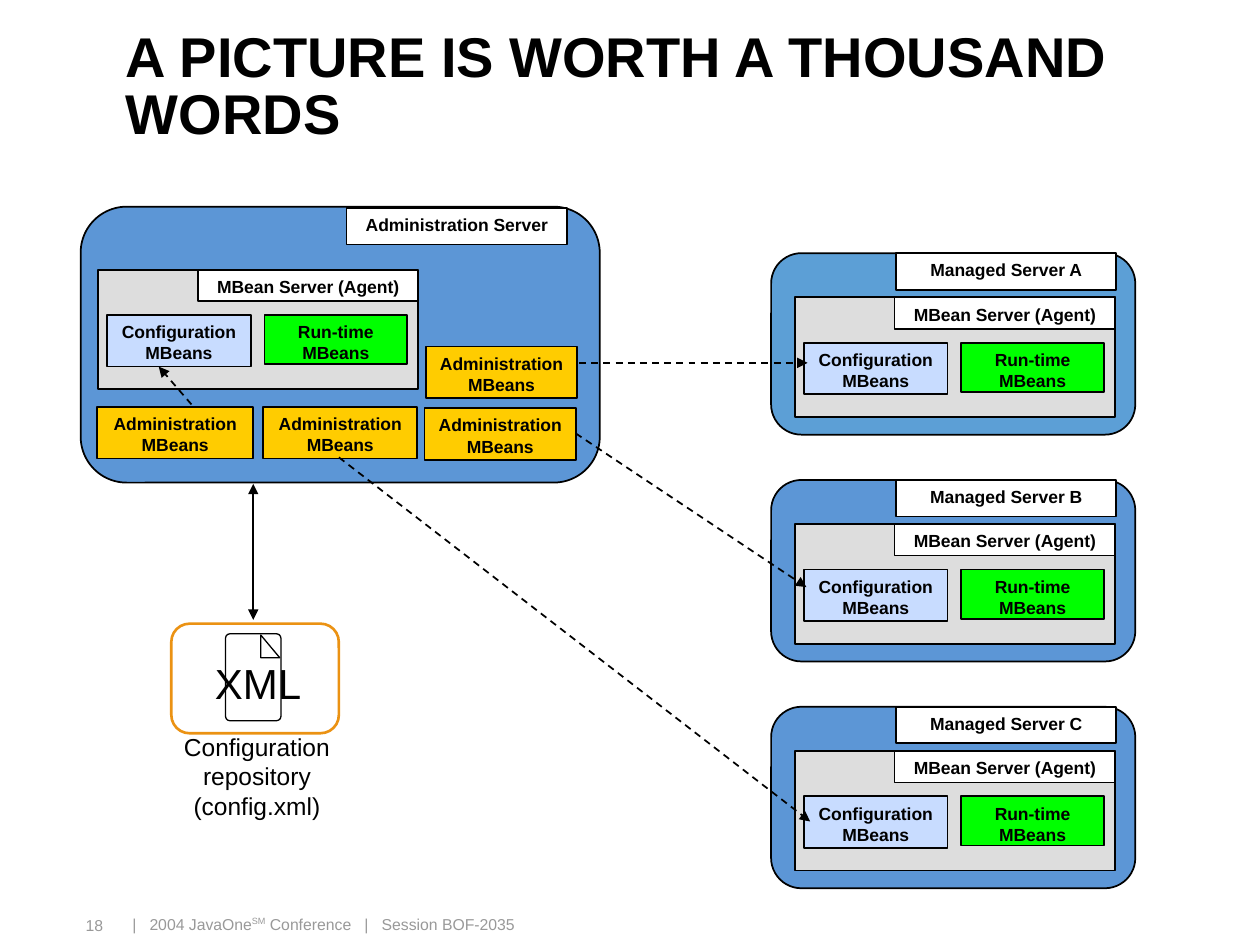
from lxml.etree import SubElement
from pptx import Presentation
from pptx.dml.color import RGBColor
from pptx.enum.dml import MSO_LINE as Dash
from pptx.enum.shapes import MSO_CONNECTOR as Link, MSO_SHAPE as Kind
from pptx.enum.text import MSO_ANCHOR as Anchor, PP_ALIGN as Align
from pptx.oxml.ns import qn
from pptx.util import Inches, Pt

BLACK = RGBColor(0x00, 0x00, 0x00)
WHITE = RGBColor(0xFF, 0xFF, 0xFF)
GREY = RGBColor(0xDD, 0xDD, 0xDD)
MUTED = RGBColor(0x99, 0x99, 0x99)
BLUE = RGBColor(0x5C, 0x96, 0xD6)
TEAL = RGBColor(0x5C, 0x9F, 0xD6)
PALE = RGBColor(0xC8, 0xDC, 0xFF)
GREEN = RGBColor(0x00, 0xFF, 0x00)
GOLD = RGBColor(0xFF, 0xCC, 0x00)
ORANGE = RGBColor(0xEB, 0x92, 0x13)

TITLE = "A PICTURE IS WORTH A THOUSAND WORDS"
FOOTER = [("|   2004 JavaOne", 0), ("SM", 33), (" Conference   |   Session BOF-2035", 0)]
PAGE = "18"
STORE = "Configuration\vrepository\v(config.xml)"
ADMIN = "Administration MBeans"

# name, fill, left and top of server, left and top of agent
MANAGED = [("Managed Server A", TEAL), ("Managed Server B", BLUE),
           ("Managed Server C", BLUE)]
LEFT, TOP, PITCH = 6.12, 2.01, 1.8

# Parts of an agent: text, fill, offset x, offset y, width, height
AGENT = [
    ("Configuration MBeans", PALE, 0.07, 0.36, 1.14, 0.41),
    ("Run-time MBeans", GREEN, 1.32, 0.36, 1.13, 0.39),
    ("MBean Server (Agent)", WHITE, 0.79, 0, 1.75, 0.25),
]
LOWER = [(0.77, 3.23, 1.24), (2.09, 3.23, 1.22), (3.37, 3.24, 1.2)]
UPPER = (3.38, 2.75, 1.2)

# start, end of the dashed arrows
CALLS = [
    ((1.52, 3.21), (1.26, 2.91)),
    ((4.5, 2.88), (6.41, 2.88)),
    ((4.57, 3.44), (6.4, 4.66)),
    ((2.69, 3.63), (6.43, 6.52)),
]

prs = Presentation()
prs.slide_width, prs.slide_height = Inches(10), Inches(7.5)
slide = prs.slides.add_slide(prs.slide_layouts[6])
shapes = slide.shapes


def write(shape, text, size=10, bold=False, color=BLACK, align=Align.CENTER,
          anchor=Anchor.TOP, pad=(0.1, 0.05), space=None, wrap=True):
    """Fill a shape with one paragraph; text is a string or (text, raise) runs."""
    frame = shape.text_frame
    frame.word_wrap, frame.vertical_anchor = wrap, anchor
    frame.margin_left = frame.margin_right = Inches(pad[0])
    frame.margin_top = frame.margin_bottom = Inches(pad[1])
    para = frame.paragraphs[0]
    para.alignment = align
    if space:
        para.line_spacing = space
    if isinstance(text, str):
        para.text = text
    else:
        for part, rise in text:
            run = para.add_run()
            run.text = part
            if rise:
                run.font._element.set("baseline", str(rise * 1000))
    for run in para.runs:
        font = run.font
        font.name, font.size, font.bold = "Arial", Pt(size), bold
        font.color.rgb = color


def label(x, y, w, h, text, **style):
    box = shapes.add_textbox(Inches(x), Inches(y), Inches(w), Inches(h))
    write(box, text, **style)


def block(x, y, w, h, fill=None, text=None, kind=Kind.RECTANGLE,
          line=BLACK, width=1, round=None):
    box = shapes.add_shape(kind, Inches(x), Inches(y), Inches(w), Inches(h))
    box.shadow.inherit = False
    if fill is None:
        box.fill.background()
    else:
        box.fill.solid()
        box.fill.fore_color.rgb = fill
    box.line.color.rgb, box.line.width = line, Pt(width)
    if round is not None:
        box.adjustments[0] = round
    if text:
        write(box, text, bold=True)


def arrow(start, end, dash=True, both=False):
    ends = [Inches(v) for v in start + end]
    link = shapes.add_connector(Link.STRAIGHT, *ends)
    link.line.color.rgb, link.line.width = BLACK, Pt(1)
    if dash:
        link.line.dash_style = Dash.DASH
    line = link.line._get_or_add_ln()
    for tag in ["a:headEnd", "a:tailEnd"] if both else ["a:tailEnd"]:
        SubElement(line, qn(tag), type="triangle")
    SubElement(link._element.spPr, qn("a:effectLst"))


def agent(x, y):
    block(x, y, 2.54, 0.95, GREY)
    for text, fill, dx, dy, w, h in AGENT:
        block(x + dx, y + dy, w, h, fill, text)


def beans(x, y, w):
    block(x, y, w, 0.41, GOLD, ADMIN)


# Footer and title
label(1, 7.21, 5.58, 0.25, FOOTER, size=9, color=MUTED, align=Align.LEFT,
      anchor=Anchor.BOTTOM, pad=(0.05, 0.05), space=0.98)
label(0.46, 7.22, 0.58, 0.25, PAGE, size=9, color=MUTED,
      anchor=Anchor.BOTTOM, pad=(0.05, 0.05), space=0.98)
label(1, 0.08, 8.6, 1.25, TITLE, size=32, bold=True, align=Align.LEFT,
      anchor=Anchor.MIDDLE, pad=(0, 0), space=0.85)

# Administration server
block(0.64, 1.64, 4.12, 2.19, BLUE, kind=Kind.FLOWCHART_ALTERNATE_PROCESS)
agent(0.78, 2.14)
for spot in LOWER:
    beans(*spot)
block(2.75, 1.65, 1.75, 0.29, WHITE, "Administration Server")

# Managed servers
for row, (name, fill) in enumerate(MANAGED):
    y = TOP + row * PITCH
    block(LEFT, y, 2.89, 1.44, fill, kind=Kind.FLOWCHART_ALTERNATE_PROCESS)
    agent(LEFT + 0.19, y + 0.35)
    block(LEFT + 0.99, y, 1.75, 0.29, WHITE, name)

# Arrows, with the upper beans covering the start of theirs
for start, end in CALLS:
    arrow(start, end)
beans(*UPPER)
arrow((2.01, 3.84), (2.01, 4.92), dash=False, both=True)

# Configuration repository
block(1.36, 4.95, 1.33, 0.87, WHITE, kind=Kind.ROUNDED_RECTANGLE,
      line=ORANGE, width=1.5, round=0.167)
block(1.79, 5.03, 0.44, 0.69, kind=Kind.ROUNDED_RECTANGLE, width=0.75, round=0.08)
block(2.07, 5.04, 0.15, 0.18, kind=Kind.RIGHT_TRIANGLE, width=0.75)
label(1.59, 5.17, 0.9, 0.5, "XML", size=24, align=Align.RIGHT)
label(1.46, 5.81, 1.16, 0.7, STORE, size=14, pad=(0, 0), wrap=False)

prs.save("out.pptx")
